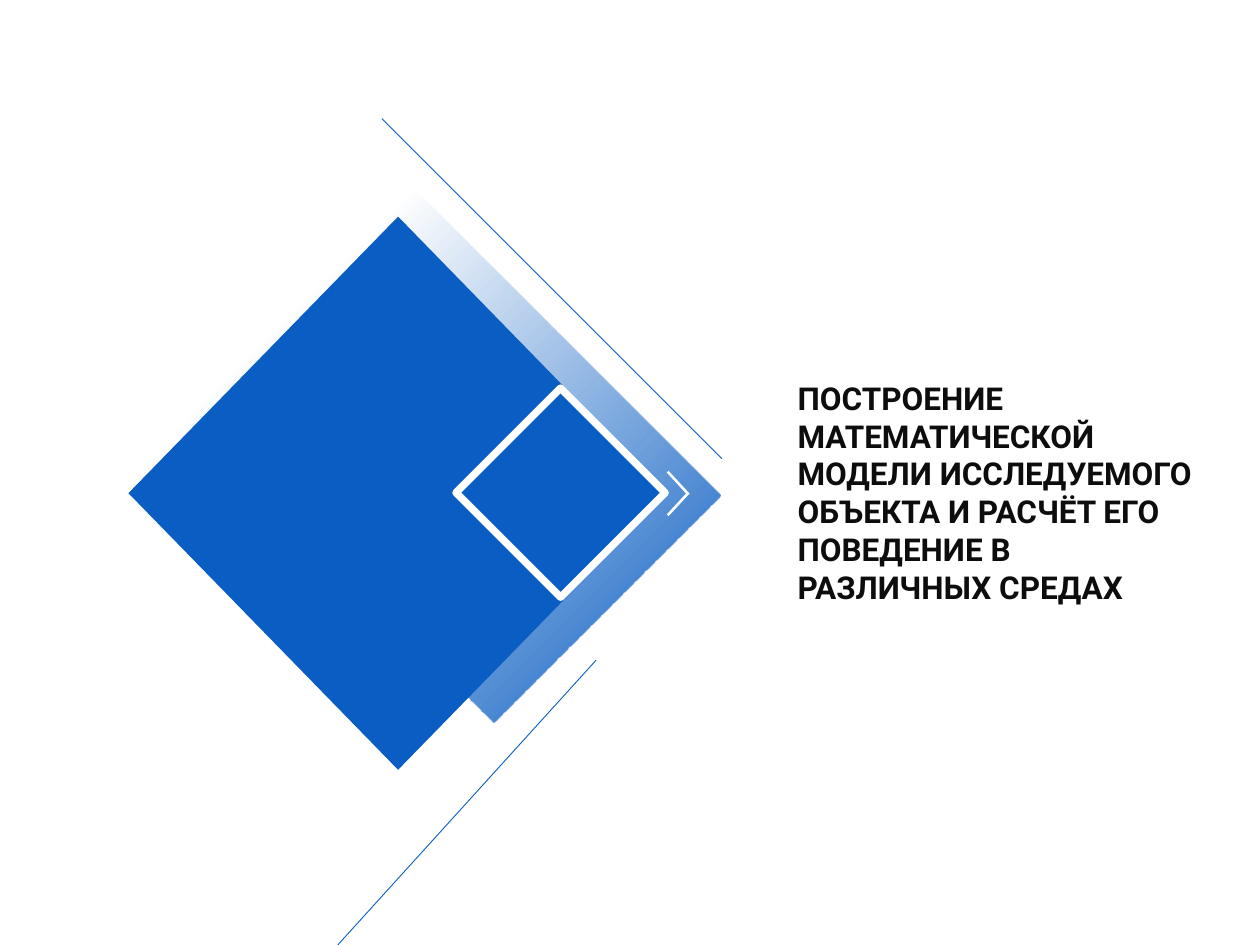
"""Builds a section slide with layered diamonds and a bold heading."""
from dataclasses import dataclass

from lxml import etree
from pptx import Presentation
from pptx.dml.color import RGBColor
from pptx.enum.shapes import MSO_CONNECTOR, MSO_SHAPE
from pptx.enum.text import MSO_ANCHOR, MSO_AUTO_SIZE
from pptx.oxml.ns import qn
from pptx.util import Pt

DIAMOND = MSO_SHAPE.DIAMOND
STRAIGHT = MSO_CONNECTOR.STRAIGHT
TOP = MSO_ANCHOR.TOP
GROW = MSO_AUTO_SIZE.SHAPE_TO_FIT_TEXT


@dataclass(frozen=True)
class Theme:
    blue: RGBColor = RGBColor(0x0A, 0x5D, 0xC2)
    white: RGBColor = RGBColor(0xFF, 0xFF, 0xFF)
    ink: RGBColor = RGBColor(0x0D, 0x0D, 0x0D)
    font: str = "Roboto"
    heading_size: float = 18
    thin_line: float = 0.5
    frame_line: float = 4.25


THEME = Theme()


def add_polygon(slide, points):
    builder = slide.shapes.build_freeform(*points[0], scale=Pt(1))
    builder.add_line_segments(points[1:], close=True)
    shape = builder.convert_to_shape()
    shape.shadow.inherit = False
    shape.line.fill.background()
    return shape


def fade_out(shape, color, angle, positions):
    shape.fill.gradient()
    shape.fill.gradient_angle = angle
    for stop, position in zip(shape.fill.gradient_stops, positions):
        stop.position = position
        stop.color.rgb = color
    last_color = shape._element.spPr.findall(".//" + qn("a:srgbClr"))[-1]
    etree.SubElement(last_color, qn("a:alpha"), val="0")


def add_diamond(slide, left, top, width, height, outlined=False):
    shape = slide.shapes.add_shape(DIAMOND, Pt(left), Pt(top), Pt(width), Pt(height))
    shape.shadow.inherit = False
    shape.fill.solid()
    shape.fill.fore_color.rgb = THEME.blue
    if outlined:
        shape.line.color.rgb = THEME.white
        shape.line.width = Pt(THEME.frame_line)
    else:
        shape.line.fill.background()


def add_line(slide, start, end):
    line = slide.shapes.add_connector(STRAIGHT, *(Pt(value) for value in start + end))
    line.line.color.rgb = THEME.blue
    line.line.width = Pt(THEME.thin_line)
    etree.SubElement(line._element.spPr, qn("a:effectLst"))


def add_heading(slide, text, left, top, width, height):
    box = slide.shapes.add_textbox(Pt(left), Pt(top), Pt(width), Pt(height))
    frame = box.text_frame
    frame.word_wrap = True
    frame.auto_size = GROW
    frame.vertical_anchor = TOP
    frame.margin_left = frame.margin_right = Pt(5.1)
    frame.margin_top = frame.margin_bottom = Pt(2.7)
    run = frame.paragraphs[0].add_run()
    run.text = text
    run.font.name = THEME.font
    run.font.size = Pt(THEME.heading_size)
    run.font.bold = True
    run.font.color.rgb = THEME.ink


def main():
    presentation = Presentation()
    presentation.slide_width, presentation.slide_height = Pt(720), Pt(540)
    slide = presentation.slides.add_slide(presentation.slide_layouts[6])

    band = add_polygon(slide, [(231.8, 103), (-28.8, 103), (281.5, 412.6), (411.8, 283)])
    fade_out(band, THEME.blue, angle=135, positions=(0.01, 0.64))
    add_diamond(slide, 73.4, 123.8, 308.2, 316.1)

    chevron = add_polygon(slide, [
        (393.8, 281.8), (382.3, 268.6), (380.9, 269.6),
        (392.4, 281.8), (380.9, 294.2), (382.3, 295.2),
    ])
    chevron.fill.solid()
    chevron.fill.fore_color.rgb = THEME.white

    add_line(slide, (218.2, 67.7), (412.6, 262.1))
    add_line(slide, (193, 540), (340.6, 377.3))
    add_diamond(slide, 260.6, 221.8, 119.5, 119.5, outlined=True)
    add_heading(
        slide,
        "ПОСТРОЕНИЕ МАТЕМАТИЧЕСКОЙ МОДЕЛИ ИССЛЕДУЕМОГО ОБЪЕКТА "
        "И РАСЧЁТ ЕГО ПОВЕДЕНИЕ В РАЗЛИЧНЫХ СРЕДАХ",
        450.7, 213.8, 237.6, 136.1,
    )
    presentation.save("out.pptx")


if __name__ == "__main__":
    main()
